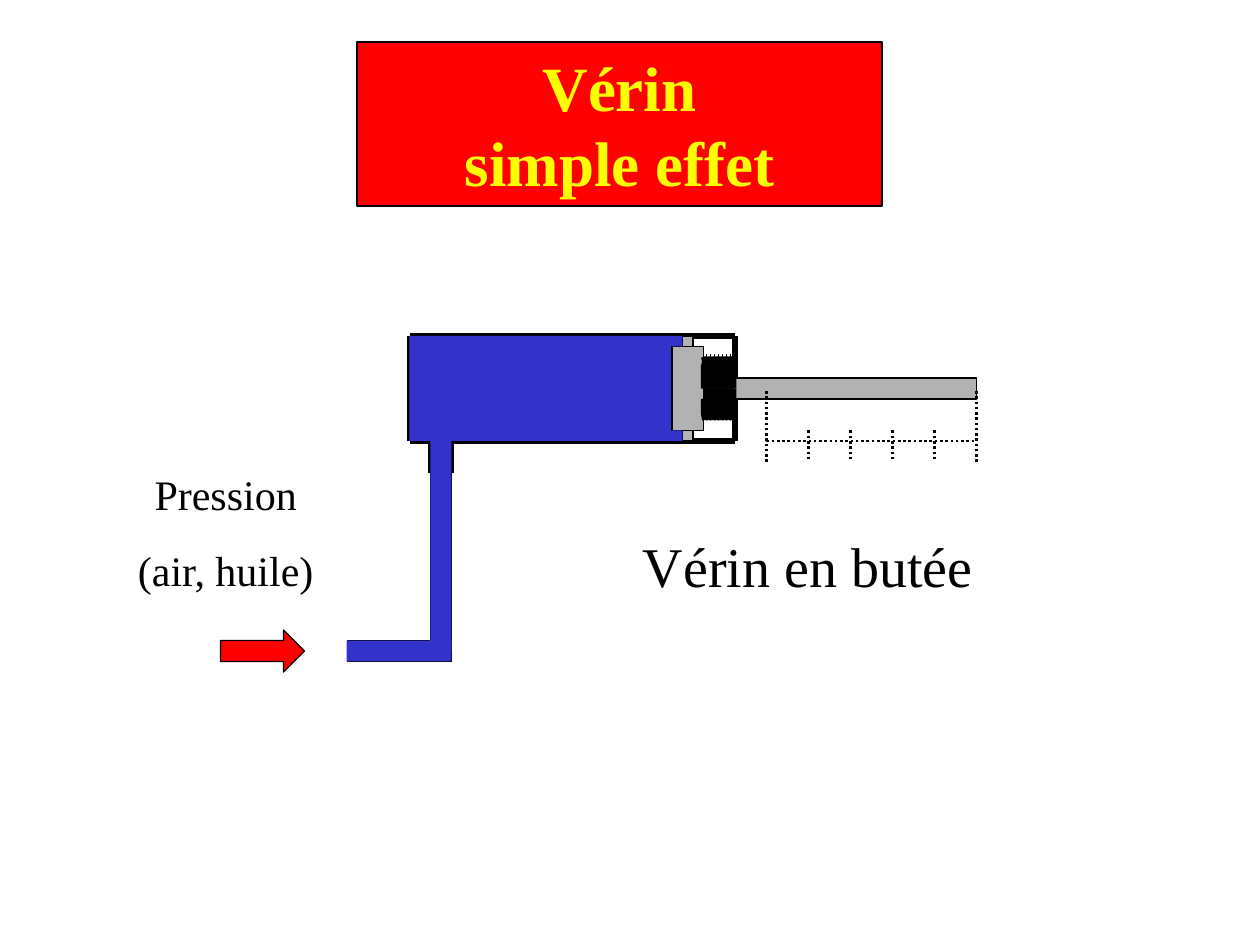
from pptx import Presentation
from pptx.dml.color import RGBColor
from pptx.enum.dml import MSO_LINE
from pptx.enum.shapes import MSO_CONNECTOR, MSO_SHAPE
from pptx.enum.text import MSO_ANCHOR, PP_ALIGN
from pptx.oxml.ns import qn
from pptx.util import Pt
from lxml import etree

PX = 9525  # EMU, 96 px to the inch
BLACK = RGBColor(0x00, 0x00, 0x00)
RED = RGBColor(0xFF, 0x00, 0x00)
YELLOW = RGBColor(0xFF, 0xFF, 0x00)
BLUE = RGBColor(0x33, 0x33, 0xCC)
GREY = RGBColor(0xB2, 0xB2, 0xB2)
RECT, ARROW = MSO_SHAPE.RECTANGLE, MSO_SHAPE.RIGHT_ARROW
STRAIGHT, DOTS = MSO_CONNECTOR.STRAIGHT, MSO_LINE.ROUND_DOT
TOP, MIDDLE, CENTER = MSO_ANCHOR.TOP, MSO_ANCHOR.MIDDLE, PP_ALIGN.CENTER

prs = Presentation()
prs.slide_width, prs.slide_height = 960 * PX, 720 * PX
slide = prs.slides.add_slide(prs.slide_layouts[6])


def block(home, box, fill, edge=True, kind=RECT):
    """Add a filled shape to home, with a thin black edge or none."""
    shape = home.shapes.add_shape(kind, *[n * PX for n in box])
    shape.shadow.inherit = False
    shape.fill.solid()
    shape.fill.fore_color.rgb = fill
    if edge:
        shape.line.color.rgb = BLACK
        shape.line.width = Pt(0.75)
    else:
        shape.line.fill.background()
    return shape


def stroke(home, ends, width, dash=None):
    """Add a straight black line to home."""
    line = home.shapes.add_connector(STRAIGHT, *[n * PX for n in ends])
    line.line.color.rgb = BLACK
    line.line.width = Pt(width)
    if dash:
        line.line.dash_style = dash
    etree.SubElement(line._element.spPr, qn("a:effectLst"))


title = block(slide, (272, 32, 400, 125), RED)

# Cylinder walls and inlet
for ends in [
    (344, 336, 560, 336), (344, 336, 344, 360), (328, 336, 328, 360),
    (560, 256, 312, 256), (312, 256, 312, 336), (312, 336, 328, 336),
]:
    stroke(slide, ends, 3)

# Pipe walls
for ends in [
    (328, 360, 328, 488), (344, 360, 344, 504),
    (328, 488, 264, 488), (344, 504, 264, 504),
]:
    stroke(slide, ends, 0.75)

block(slide, (168, 480, 64, 32), RED, kind=ARROW)
source = slide.shapes.add_textbox(88 * PX, 352 * PX, 168 * PX, 107 * PX)

# Fluid in the pipe and the chamber
for box in [(264, 488, 80, 16), (328, 336, 16, 160), (312, 256, 200, 80)]:
    block(slide, box, BLUE, edge=False)
stroke(slide, (560, 336, 560, 256), 3)

# Piston head, seals and rod, then fluid behind the seals
piston = slide.shapes.add_group_shape()
for box in [(512, 264, 24, 64), (520, 256, 8, 8), (520, 328, 8, 8), (536, 288, 208, 16)]:
    block(piston, box, GREY)
for y in (328, 256):
    block(piston, (512, y, 8, 8), BLUE, edge=False)

# Spring: each coil is four arcs, linked to the next coil at the top
ARCS = [(0, 272, 2, 296), (1, 320, 2, 296), (1, 320, 0, 304), (2, 272, 0, 296)]
COILS, PITCH = 8, 3
spring = slide.shapes.add_group_shape()
for i in range(COILS):
    x = 536 + i * PITCH
    for x1, y1, x2, y2 in ARCS:
        pen = spring.shapes.build_freeform(x + x1, y1, scale=PX)
        bend = y1 + round((y2 - y1) * 0.3)
        pen.add_line_segments([(x + x2, bend), (x + x2, y2)], close=False)
        arc = pen.convert_to_shape()
        arc.shadow.inherit = False
        arc.fill.background()
        arc.line.color.rgb = BLACK
        arc.line.width = Pt(3)
    if i < COILS - 1:
        stroke(spring, (x + 2, 272, x + PITCH, 272), 3)

# Stroke scale: base, two ends and four ticks
stroke(slide, (584, 336, 744, 336), 1.5, DOTS)
for x in (744, 584):
    stroke(slide, (x, 352, x, 296), 1.5, DOTS)
for x in range(616, 744, 32):
    stroke(slide, (x, 328, x, 352), 1.5, DOTS)

state = slide.shapes.add_textbox(480 * PX, 400 * PX, 271 * PX, 61 * PX)

for shape, text, size, color, bold, anchor, wrap in [
    (title, "Vérin\vsimple effet", 36, YELLOW, True, TOP, True),
    (source, "Pression\n(air, huile)", 24, BLACK, False, TOP, True),
    (state, "Vérin en butée", 32, BLACK, False, MIDDLE, False),
]:
    frame = shape.text_frame
    frame.text = text
    frame.word_wrap = wrap
    frame.vertical_anchor = anchor
    for para in frame.paragraphs:
        para.alignment = CENTER
        para.space_before = Pt(size * 0.625)
        para.line_spacing = Pt(size * 1.2)
        para.font.name = "Times New Roman"
        para.font.size = Pt(size)
        para.font.bold = bold
        para.font.color.rgb = color

prs.save("out.pptx")
